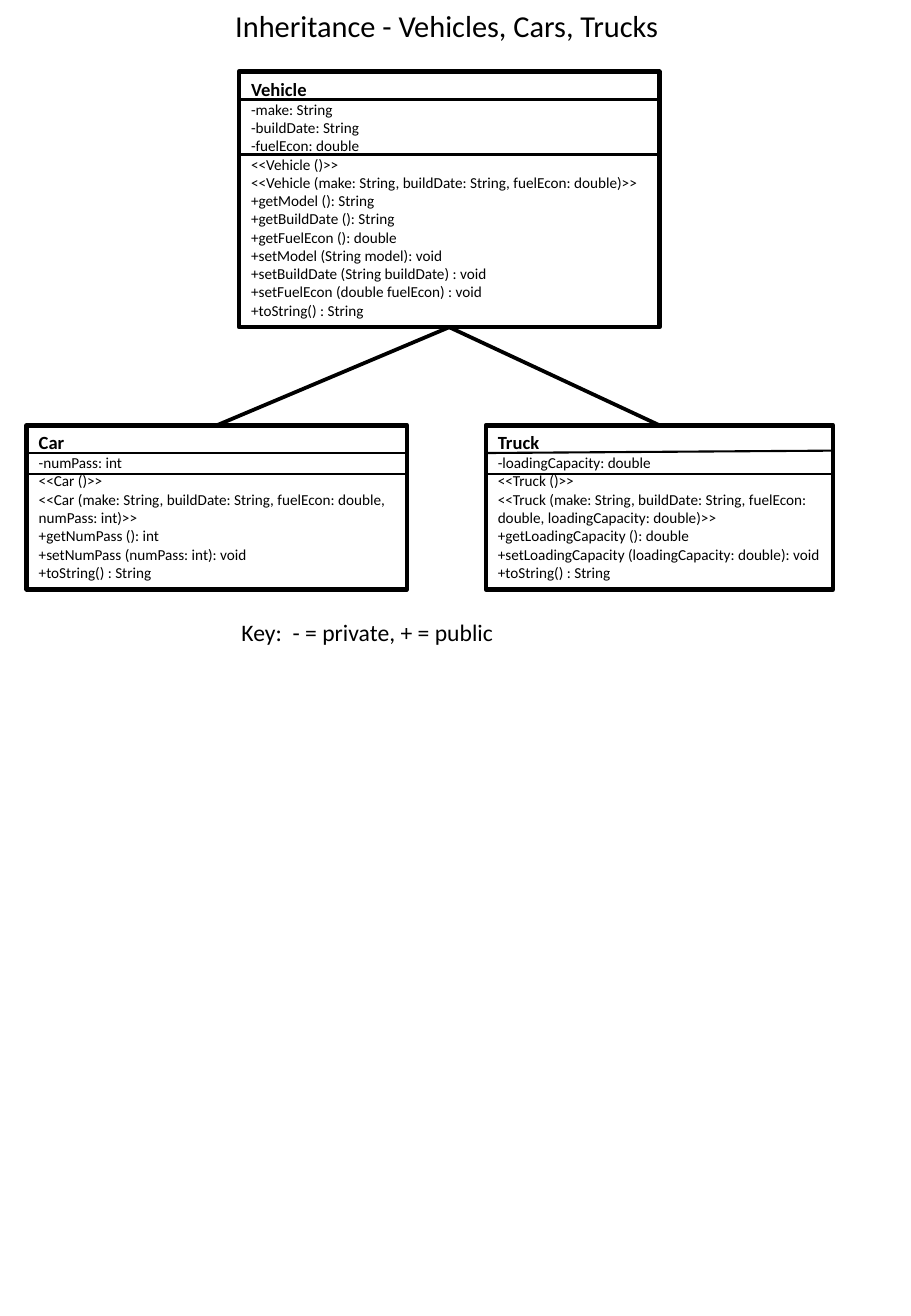
from lxml.etree import SubElement
from pptx import Presentation
from pptx.dml.color import RGBColor
from pptx.enum.shapes import MSO_CONNECTOR, MSO_SHAPE
from pptx.enum.text import MSO_ANCHOR, MSO_AUTO_SIZE, PP_ALIGN
from pptx.oxml.ns import qn
from pptx.util import Cm, Pt


def color(hex_value):
    return RGBColor.from_string(hex_value)


class ClassDiagram:
    font_name = "Calibri"
    ink = "000000"
    name_height = 0.58

    def __init__(self, slide):
        self.shapes = slide.shapes

    def style(self, paragraph, size, bold=False):
        paragraph.alignment = PP_ALIGN.LEFT
        paragraph.font.name = self.font_name
        paragraph.font.size = Pt(size)
        paragraph.font.bold = bold
        paragraph.font.color.rgb = color(self.ink)

    def label(self, text, left, top, width, height, size):
        caption = self.shapes.add_textbox(Cm(left), Cm(top), Cm(width), Cm(height))
        frame = caption.text_frame
        frame.text = text
        frame.word_wrap = False
        frame.auto_size = MSO_AUTO_SIZE.SHAPE_TO_FIT_TEXT
        self.style(frame.paragraphs[0], size)

    def line(self, start, end, weight):
        connector = self.shapes.add_connector(
            MSO_CONNECTOR.STRAIGHT, *(Cm(value) for value in (*start, *end)))
        connector.line.color.rgb = color(self.ink)
        connector.line.width = Pt(weight)
        SubElement(connector._element.spPr, qn("a:effectLst"))
        return connector

    def class_box(self, name, members, left, top, width, height, fields_bottom, tilt=0):
        box = self.shapes.add_shape(
            MSO_SHAPE.RECTANGLE, Cm(left), Cm(top), Cm(width), Cm(height))
        box.shadow.inherit = False
        box.fill.background()
        box.line.color.rgb = color(self.ink)
        box.line.width = Pt(2.75)
        frame = box.text_frame
        frame.text = "\n".join([name, *members])
        frame.word_wrap = True
        frame.auto_size = MSO_AUTO_SIZE.SHAPE_TO_FIT_TEXT
        frame.vertical_anchor = MSO_ANCHOR.TOP
        heading, *rows = frame.paragraphs
        self.style(heading, 11, bold=True)
        for row in rows:
            self.style(row, 9)
        for offset, rise in ((self.name_height, tilt), (fields_bottom, 0)):
            divider = top + offset
            self.line((left, divider), (left + width, divider - rise), 1.25)
        return box

    def inherit(self, parent, child):
        link = self.line((0, 0), (1, 1), 2.25)
        link.begin_connect(parent, 2)
        link.end_connect(child, 0)


def main():
    presentation = Presentation()
    presentation.slide_width = Cm(19.05)
    presentation.slide_height = Cm(27.51)
    diagram = ClassDiagram(presentation.slides.add_slide(presentation.slide_layouts[6]))

    diagram.label("Inheritance - Vehicles, Cars, Trucks", 4.67, 0.03, 9.47, 1.02, 18)
    vehicle = diagram.class_box("Vehicle", [
        "-make: String",
        "-buildDate: String",
        "-fuelEcon: double",
        "<<Vehicle ()>>",
        "<<Vehicle (make: String, buildDate: String, fuelEcon: double)>>",
        "+getModel (): String",
        "+getBuildDate (): String",
        "+getFuelEcon (): double",
        "+setModel (String model): void",
        "+setBuildDate (String buildDate) : void",
        "+setFuelEcon (double fuelEcon) : void",
        "+toString() : String",
    ], 5, 1.5, 8.79, 5.34, 1.73)

    child_top, child_height, child_fields_bottom = 8.89, 3.43, 1.02
    car = diagram.class_box("Car", [
        "-numPass: int",
        "<<Car ()>>",
        "<<Car (make: String, buildDate: String, fuelEcon: double, numPass: int)>>",
        "+getNumPass (): int",
        "+setNumPass (numPass: int): void",
        "+toString() : String",
    ], 0.56, child_top, 7.95, child_height, child_fields_bottom)
    truck = diagram.class_box("Truck", [
        "-loadingCapacity: double",
        "<<Truck ()>>",
        "<<Truck (make: String, buildDate: String, fuelEcon: double, loadingCapacity: double)>>",
        "+getLoadingCapacity (): double",
        "+setLoadingCapacity (loadingCapacity: double): void",
        "+toString() : String",
    ], 10.16, child_top, 7.26, child_height, child_fields_bottom, tilt=0.05)

    for child in (truck, car):
        diagram.inherit(vehicle, child)
    diagram.label("Key:  - = private, + = public", 4.8, 12.8, 5.82, 0.86, 14)
    presentation.save("out.pptx")


if __name__ == "__main__":
    main()
